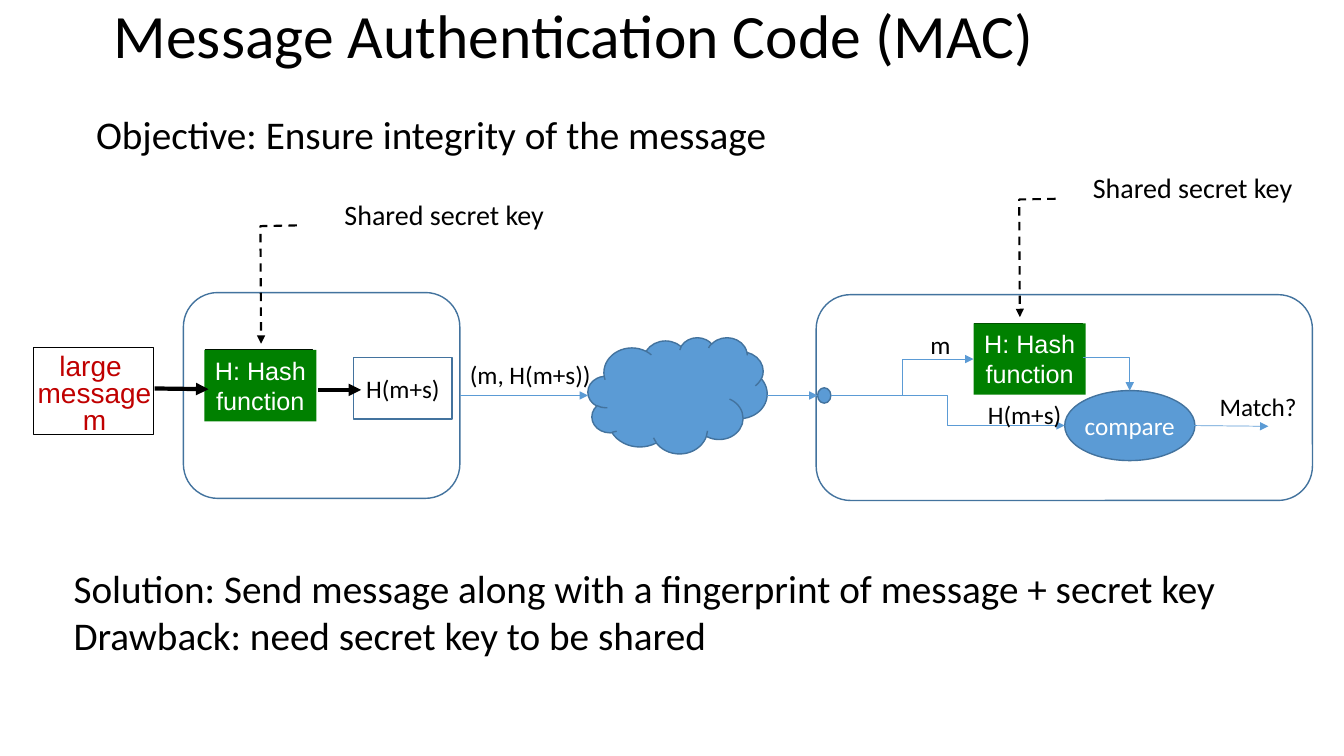
from typing import NamedTuple

from lxml import etree
from pptx import Presentation
from pptx.dml.color import RGBColor
from pptx.enum.dml import MSO_LINE
from pptx.enum.shapes import MSO_CONNECTOR, MSO_SHAPE
from pptx.enum.text import MSO_ANCHOR, MSO_AUTO_SIZE, PP_ALIGN
from pptx.oxml.ns import qn
from pptx.util import Pt

RECTANGLE = MSO_SHAPE.RECTANGLE
ROUNDED = MSO_SHAPE.ROUNDED_RECTANGLE
ELLIPSE = MSO_SHAPE.OVAL
CLOUD = MSO_SHAPE.CLOUD
STRAIGHT = MSO_CONNECTOR.STRAIGHT
ELBOW = MSO_CONNECTOR.ELBOW
LEFT, CENTER = PP_ALIGN.LEFT, PP_ALIGN.CENTER
TOP, MIDDLE = MSO_ANCHOR.TOP, MSO_ANCHOR.MIDDLE

BLACK, WHITE, RED, GREEN = "000000", "FFFFFF", "C00000", "008000"
BLUE, DARK_BLUE = "5B9BD5", "43739E"
TITLE_ONLY = 5


class Box(NamedTuple):
    left: float
    top: float
    width: float
    height: float


class Label(NamedTuple):
    lines: list[str]
    box: Box
    size: float


class Arrow(NamedTuple):
    start: tuple[float, float]
    end: tuple[float, float]
    kind: int = STRAIGHT
    color: str = BLUE
    width: float = 0.5


LABELS = [
    Label(["(m, H(m+s))"], Box(328.5, 253, 102, 29), 18),
    Label(["m"], Box(657.5, 232, 29, 29), 18),
    Label(["Match?"], Box(864, 276, 70, 29), 18),
    Label(["H(m+s)"], Box(698.5, 281.5, 68, 29), 18),
    Label(["Objective: Ensure integrity of the message"], Box(61.5, 75, 505, 41), 28),
    Label(["Solution: Send message along with a fingerprint of message + secret key",
           "Drawback: need secret key to be shared"], Box(45.5, 399.5, 839, 75), 28),
    Label(["Shared secret key"], Box(239, 137.5, 158.5, 31.5), 20),
    Label(["Shared secret key"], Box(773.5, 118.5, 158.5, 31.5), 20),
]

ARROWS = [
    Arrow((110.5, 277.5), (149, 278), color=BLACK, width=3),
    Arrow((227, 278.5), (258, 278.5), color=BLACK, width=3),
    Arrow((328.5, 282.5), (420, 282.5)),
    Arrow((548, 282.5), (584, 282.5)),
    Arrow((853, 304), (906, 304.5)),
    Arrow((593.5, 282.5), (695.5, 256.5), ELBOW),
    Arrow((593.5, 282.5), (760.5, 304), ELBOW),
]


def rgb(color: str) -> RGBColor:
    return RGBColor.from_string(color)


def add_arrowhead(line) -> None:
    properties = line._get_or_add_ln()
    etree.SubElement(properties, qn("a:tailEnd"), type="triangle")


def write(shape, lines: list[str], size: float, color: str = BLACK,
          font: str = "Calibri", align: int = LEFT, anchor: int = TOP,
          spacing: float = 1.0) -> None:
    frame = shape.text_frame
    frame.text = "\n".join(lines)
    frame.vertical_anchor = anchor
    for paragraph in frame.paragraphs:
        paragraph.alignment = align
        paragraph.line_spacing = spacing
        paragraph.font.size = Pt(size)
        paragraph.font.name = font
        paragraph.font.color.rgb = rgb(color)


def add_shape(slide, preset: int, box: Box, fill: str | None = None,
              line: str | None = DARK_BLUE, line_width: float = 1):
    shape = slide.shapes.add_shape(preset, *map(Pt, box))
    shape.shadow.inherit = False
    if fill:
        shape.fill.solid()
        shape.fill.fore_color.rgb = rgb(fill)
    else:
        shape.fill.background()
    if line:
        shape.line.color.rgb = rgb(line)
        shape.line.width = Pt(line_width)
    else:
        shape.line.fill.background()
    return shape


def add_label(slide, label: Label) -> None:
    shape = slide.shapes.add_textbox(*map(Pt, label.box))
    shape.text_frame.word_wrap = False
    shape.text_frame.auto_size = MSO_AUTO_SIZE.SHAPE_TO_FIT_TEXT
    write(shape, label.lines, label.size)


def add_arrow(slide, arrow: Arrow):
    connector = slide.shapes.add_connector(
        arrow.kind, *map(Pt, (*arrow.start, *arrow.end)))
    connector.line.color.rgb = rgb(arrow.color)
    connector.line.width = Pt(arrow.width)
    add_arrowhead(connector.line)
    etree.SubElement(connector._element.spPr, qn("a:effectLst"))
    return connector


def add_hash_function(slide, left: float, top: float) -> None:
    add_shape(slide, RECTANGLE, Box(left + 0.5, top, 77, 50), GREEN, BLACK, 0.75)
    block = add_shape(slide, RECTANGLE, Box(left, top, 80, 51), GREEN, None)
    block.text_frame.word_wrap = False
    write(block, ["H: Hash", "function"], 18, WHITE, "Arial", CENTER)


def add_key_arrow(slide, left: float, top: float) -> None:
    """Dashed arrow from the secret key, leftwards and down to the hash."""
    builder = slide.shapes.build_freeform(Pt(left + 26), Pt(top))
    builder.add_line_segments(
        [(Pt(left), Pt(top + 0.5)), (Pt(left + 0.5), Pt(top + 84.5))], close=False)
    shape = builder.convert_to_shape()
    shape.shadow.inherit = False
    shape.fill.background()
    shape.line.color.rgb = rgb(BLACK)
    shape.line.width = Pt(1.5)
    shape.line.dash_style = MSO_LINE.DASH
    add_arrowhead(shape.line)


def add_title(slide) -> None:
    title = slide.shapes.title
    title.left, title.top, title.width, title.height = map(Pt, (74, 0, 828, 55.5))
    title.text_frame.auto_size = MSO_AUTO_SIZE.NONE
    write(title, ["Message Authentication Code (MAC)"], 44, anchor=MIDDLE, spacing=0.9)


def add_message(slide) -> None:
    add_shape(slide, RECTANGLE, Box(24, 248.5, 85.5, 62), WHITE, BLACK, 0.75)
    text = slide.shapes.add_textbox(*map(Pt, (14.5, 250, 106, 65)))
    text.text_frame.word_wrap = True
    write(text, ["large ", "message", "m"], 20, RED, "Arial", CENTER, spacing=0.8)


def main() -> None:
    presentation = Presentation()
    presentation.slide_width, presentation.slide_height = Pt(960), Pt(540)
    slide = presentation.slides.add_slide(presentation.slide_layouts[TITLE_ONLY])

    add_title(slide)
    add_message(slide)
    add_shape(slide, CLOUD, Box(420, 241, 128, 83), BLUE)
    add_shape(slide, ROUNDED, Box(131, 209, 197.5, 147))
    add_shape(slide, ROUNDED, Box(583, 210.5, 354.5, 147))
    add_hash_function(slide, 146, 250)
    add_hash_function(slide, 695.5, 231)

    compare = add_shape(slide, ELLIPSE, Box(760.5, 279, 93, 50), BLUE)
    frame = compare.text_frame
    frame.margin_left = frame.margin_right = frame.margin_top = frame.margin_bottom = 0
    write(compare, ["compare"], 18, WHITE, align=CENTER, anchor=MIDDLE)
    add_shape(slide, ELLIPSE, Box(584, 277, 9.5, 11), BLUE)
    digest = add_shape(slide, RECTANGLE, Box(252.5, 255.5, 70.5, 44))
    write(digest, ["H(m+s)"], 18, align=CENTER, anchor=MIDDLE)

    for arrow in ARROWS:
        add_arrow(slide, arrow)
    corner = add_arrow(slide, Arrow((773.5, 255.5), (807, 279), ELBOW))
    corner._element.spPr.find(qn("a:prstGeom")).set("prst", "bentConnector2")
    add_key_arrow(slide, 186, 161)
    add_key_arrow(slide, 728, 142)
    for label in LABELS:
        add_label(slide, label)

    presentation.save("out.pptx")


if __name__ == "__main__":
    main()
